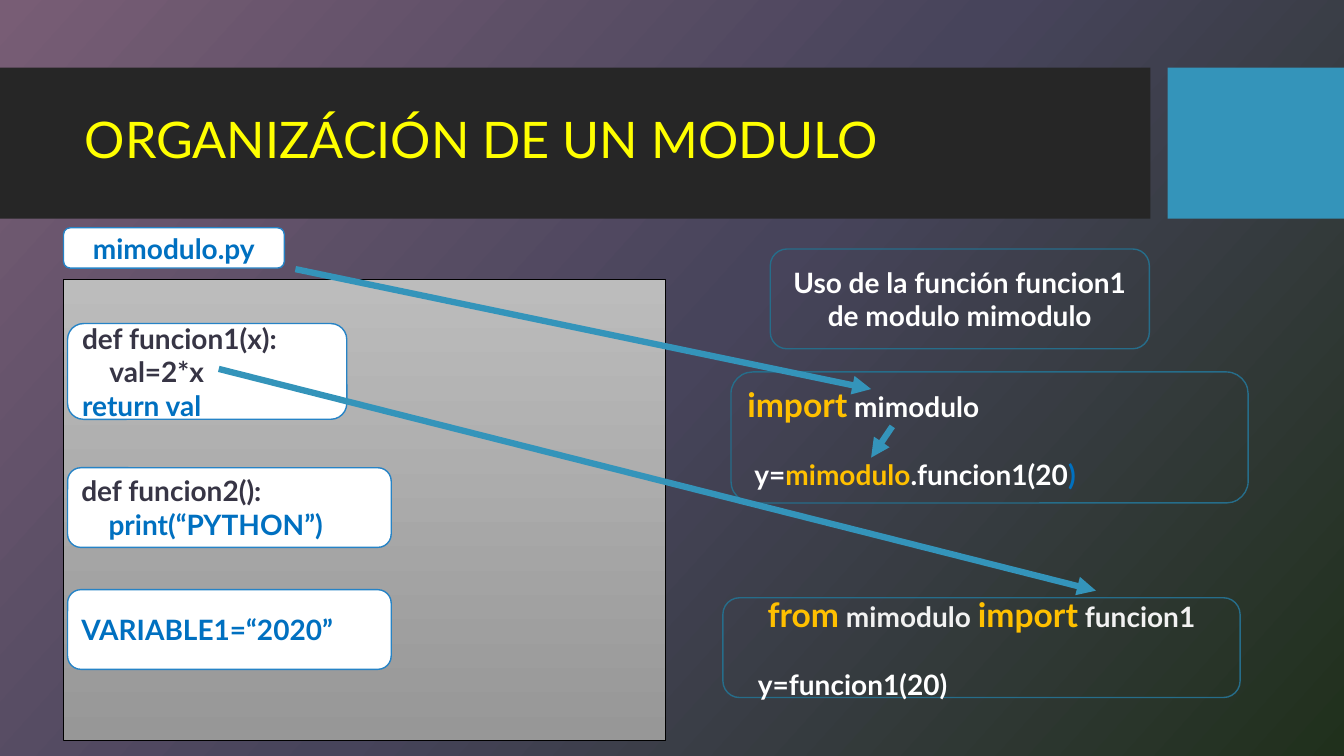
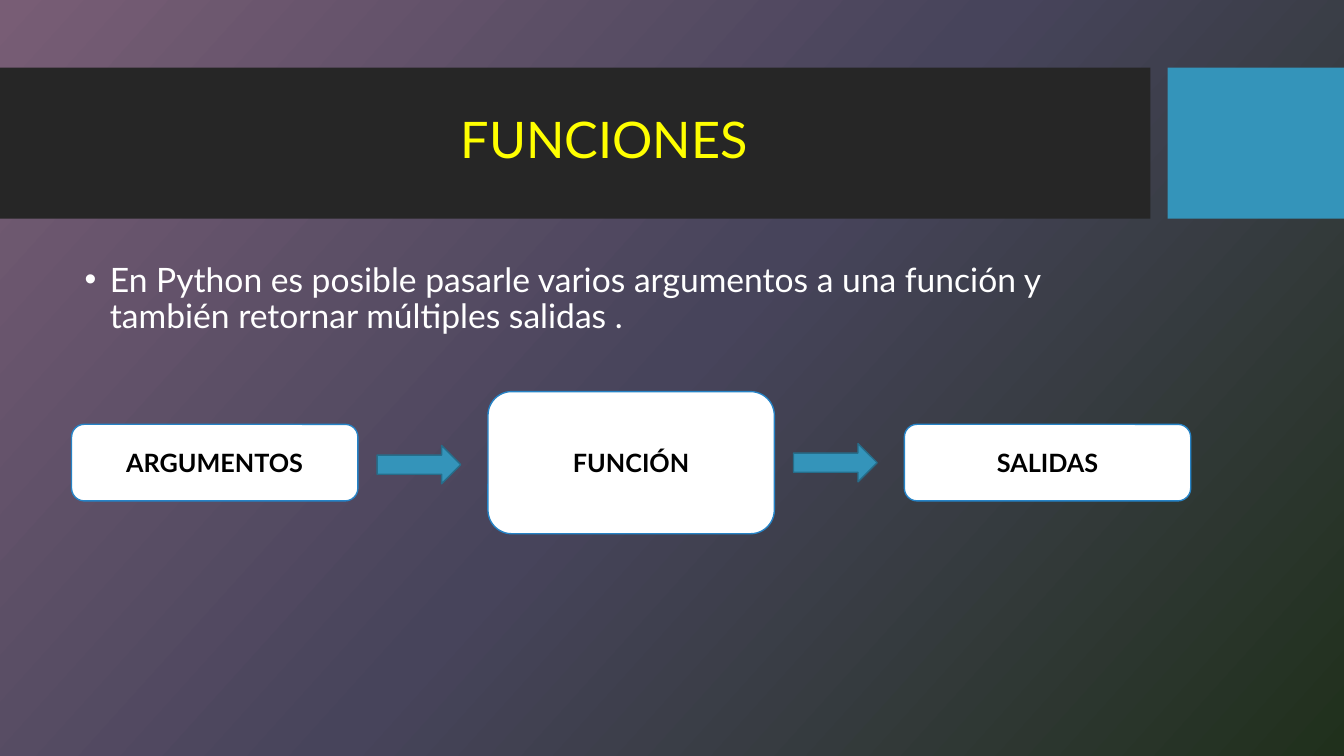
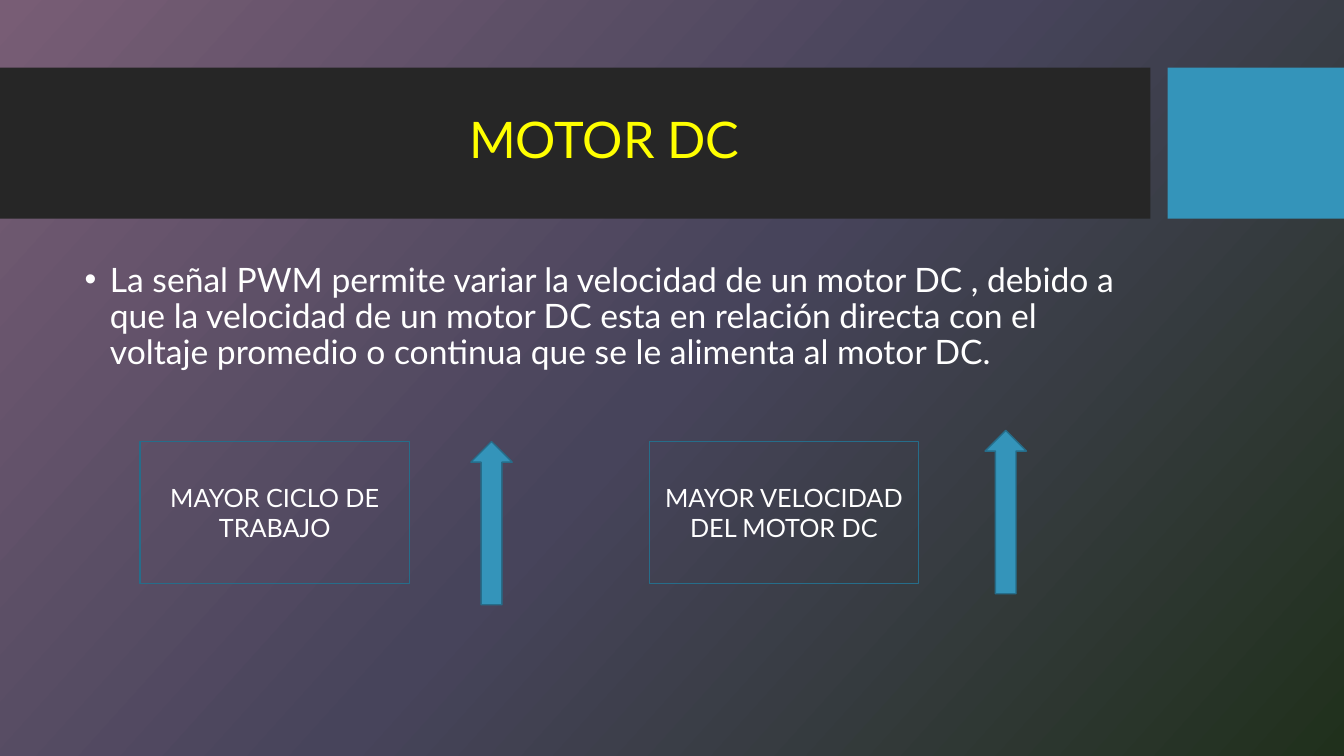
from lxml.etree import SubElement
from pptx import Presentation
from pptx.dml.color import RGBColor
from pptx.enum.shapes import MSO_CONNECTOR, MSO_SHAPE
from pptx.enum.text import MSO_ANCHOR, MSO_AUTO_SIZE, PP_ALIGN
from pptx.oxml.ns import qn
from pptx.util import Inches, Pt

FONT = "Lato"
WHITE = RGBColor(0xFF, 0xFF, 0xFF)
BLACK = RGBColor(0x00, 0x00, 0x00)
PALE = RGBColor(0xF2, 0xF2, 0xF2)
DARK = RGBColor(0x26, 0x26, 0x26)
INK = RGBColor(0x37, 0x35, 0x45)
TEAL = RGBColor(0x34, 0x94, 0xBA)
EDGE = RGBColor(0x26, 0x6D, 0x8A)
RIM = RGBColor(0x26, 0x83, 0xC6)
BLUE = RGBColor(0x00, 0x70, 0xC0)
GOLD = RGBColor(0xFF, 0xC0, 0x00)
YELLOW = RGBColor(0xFF, 0xFF, 0x00)
MAUVE = RGBColor(0x78, 0x5D, 0x75)
PLUM = RGBColor(0x47, 0x44, 0x5B)
MOSS = RGBColor(0x20, 0x30, 0x1C)
SILVER = RGBColor(0xBC, 0xBC, 0xBC)
GREY = RGBColor(0x97, 0x97, 0x97)

LEFT, MID = PP_ALIGN.LEFT, PP_ALIGN.CENTER
RECT, ROUND = MSO_SHAPE.RECTANGLE, MSO_SHAPE.ROUNDED_RECTANGLE


def blend(fill, root, tints, angle):
    fill.gradient()
    fill.gradient_angle = 360 - angle
    stops = root.find(".//" + qn("a:gsLst"))
    for stop in list(stops):
        stops.remove(stop)
    for i, tint in enumerate(tints):
        stop = SubElement(stops, qn("a:gs"), pos=str(100000 * i // (len(tints) - 1)))
        SubElement(stop, qn("a:srgbClr"), val=str(tint))


def add_run(para, text, color, size, bold=False):
    run = para.add_run()
    run.text = text
    font = run.font
    font.name, font.size, font.bold = FONT, Pt(size), bold
    font.color.rgb = color


def add_box(slide, kind, x, y, w, h, fill=None, line=None, width=1):
    box = slide.shapes.add_shape(kind, Inches(x), Inches(y), Inches(w), Inches(h))
    box.shadow.inherit = False
    if fill is None:
        box.fill.background()
    else:
        box.fill.solid()
        box.fill.fore_color.rgb = fill
    if line is None:
        box.line.fill.background()
    else:
        box.line.color.rgb = line
        box.line.width = Pt(width)
    return box


def write(box, lines, bold=True):
    frame = box.text_frame
    frame.word_wrap = True
    frame.vertical_anchor = MSO_ANCHOR.MIDDLE
    for i, (align, indent, before, runs) in enumerate(lines):
        para = frame.add_paragraph() if i else frame.paragraphs[0]
        para.alignment = align
        para.space_before = Pt(before)
        para._p.get_or_add_pPr().set("marL", str(Inches(indent)))
        for text, color, size in runs:
            add_run(para, text, color, size, bold)


def label(box, text, color, size, bold=True):
    write(box, [(MID, 0, 0, [(text, color, size)])], bold)


def add_arrow(slide, start, end):
    line = slide.shapes.add_connector(
        MSO_CONNECTOR.STRAIGHT, *(Inches(n) for n in start + end))
    line.line.color.rgb = TEAL
    line.line.width = Pt(4.5)
    SubElement(line.line._get_or_add_ln(), qn("a:tailEnd"), type="triangle")
    SubElement(line.element.spPr, qn("a:effectLst"))


def place(holder, x, y, w, h):
    holder.left, holder.top = Inches(x), Inches(y)
    holder.width, holder.height = Inches(w), Inches(h)
    frame = holder.text_frame
    frame.auto_size = MSO_AUTO_SIZE.NONE
    para = frame.paragraphs[0]
    para.line_spacing = 0.9
    return frame, para


def set_master(deck, slide):
    master = deck.slide_master
    blend(master.background.fill, master.element, [MAUVE, PLUM, MOSS], 42)
    for i, (x, w, color) in enumerate([(0, 11.41, DARK), (11.58, 1.75, TEAL)]):
        band = add_box(slide, RECT, x, 0.67, w, 1.5, color)
        master.element.cSld.spTree.insert(2 + i, band.element)


def new_slide(deck, title, align=MID, body=None):
    slide = deck.slides.add_slide(deck.slide_layouts[1 if body else 5])
    frame, para = place(slide.shapes.title, 0.74, 0.82, 10.51, 1.18)
    frame.vertical_anchor = MSO_ANCHOR.MIDDLE
    para.alignment = align
    add_run(para, title, YELLOW, 36)
    if body:
        frame, para = place(slide.placeholders[1], 0.74, 2.56, 10.51, 3.94)
        frame.vertical_anchor = MSO_ANCHOR.TOP
        para.space_before = Pt(10)
        props = para._p.get_or_add_pPr()
        props.set("marL", str(Inches(0.25)))
        props.set("indent", str(Inches(-0.25)))
        add_run(para, body, WHITE, 24)
    return slide


def draw_module(slide, x, y):
    panel = add_box(slide, RECT, x, y + 0.51, 5.97, 4.58, SILVER, BLACK, 0.75)
    blend(panel.fill, panel.element, [SILVER, GREY], 90)
    tab = add_box(slide, ROUND, x, y, 2.19, 0.4, WHITE, RIM)
    label(tab, "mimodulo.py", BLUE, 20)
    parts = [
        (0.95, 2.77, 0.95, [("def funcion1(x):", INK, 0), ("val=2*x", INK, 0.27),
                            ("return val", BLUE, 0)]),
        (2.38, 3.21, 0.79, [("def funcion2():", INK, 0),
                            ("print(“PYTHON”)", BLUE, 0.27)]),
        (3.59, 3.21, 0.79, [("VARIABLE1=“2020”", BLUE, 0)]),
    ]
    for top, w, h, code in parts:
        box = add_box(slide, ROUND, x + 0.04, y + top, w, h, WHITE, RIM)
        write(box, [(LEFT, indent, 0, [(text, color, 20)])
                    for text, color, indent in code])


def draw_usage(slide, x, y):
    note = add_box(slide, ROUND, x + 0.47, y, 3.76, 0.99, line=EDGE)
    label(note, "Uso de la función funcion1 de modulo mimodulo", WHITE, 20)
    whole = add_box(slide, ROUND, x + 0.08, y + 1.22, 5.13, 1.3, line=EDGE)
    write(whole, [
        (LEFT, 0, 0, [("import", GOLD, 24), (" ", BLUE, 20), ("mimodulo", WHITE, 20)]),
        (LEFT, 0.07, 24, [("y=", WHITE, 20), ("mimodulo", GOLD, 20),
                          (".funcion1(20", WHITE, 20), (")", BLUE, 20)]),
    ])
    single = add_box(slide, ROUND, x, y + 3.46, 5.13, 0.99, line=EDGE)
    write(single, [
        (MID, 0, 0, [("from", GOLD, 24), (" ", BLUE, 20), ("mimodulo ", PALE, 20),
                     ("import", GOLD, 24), (" ", BLUE, 20), ("funcion1", PALE, 20)]),
        (LEFT, 0.2, 24, [("y=funcion1(20)", WHITE, 20)]),
    ])


def draw_flow(slide, x, mid):
    steps = [("ARGUMENTOS", 0.76), ("FUNCIÓN", 1.41), ("SALIDAS", 0.76)]
    for i, (text, h) in enumerate(steps):
        box = add_box(slide, ROUND, x + 4.13 * i, mid - h / 2, 2.84, h, WHITE, RIM)
        label(box, text, BLACK, 18)
    for i, top in enumerate([-0.17, -0.19]):
        add_box(slide, MSO_SHAPE.RIGHT_ARROW, x + 3.03 + 4.13 * i, mid + top,
                0.83, 0.38, TEAL, EDGE)


def draw_rise(slide, x, y, text, gap, lift):
    box = add_box(slide, RECT, x, y, 2.67, 1.41, line=EDGE)
    label(box, text, WHITE, 18, False)
    add_box(slide, MSO_SHAPE.UP_ARROW, x + gap, y - lift, 0.41, 1.62, TEAL, EDGE)


def main():
    deck = Presentation()
    deck.slide_width, deck.slide_height = Inches(13.33), Inches(7.5)

    slide = new_slide(deck, "ORGANIZÁCIÓN DE UN MODULO", LEFT)
    set_master(deck, slide)
    draw_module(slide, 0.63, 2.26)
    draw_usage(slide, 7.17, 2.47)
    for start, end in [((2.93, 2.67), (8.64, 3.86)), ((8.85, 4.23), (8.64, 4.54)),
                       ((2.17, 3.66), (10.87, 5.86))]:
        add_arrow(slide, start, end)

    slide = new_slide(
        deck, "FUNCIONES",
        body="En Python es posible pasarle varios argumentos a una función y "
             "también retornar múltiples salidas .")
    draw_flow(slide, 0.71, 4.59)

    slide = new_slide(
        deck, "MOTOR DC",
        body="La señal PWM permite variar la velocidad de un motor DC , debido a "
             "que la velocidad de un motor DC esta en relación directa con el "
             "voltaje promedio o continua que se le alimenta al motor DC.")
    draw_rise(slide, 1.39, 4.38, "MAYOR CICLO DE TRABAJO", 3.28, 0)
    draw_rise(slide, 6.44, 4.38, "MAYOR VELOCIDAD DEL MOTOR DC", 3.33, 0.11)

    deck.save("out.pptx")


if __name__ == "__main__":
    main()
